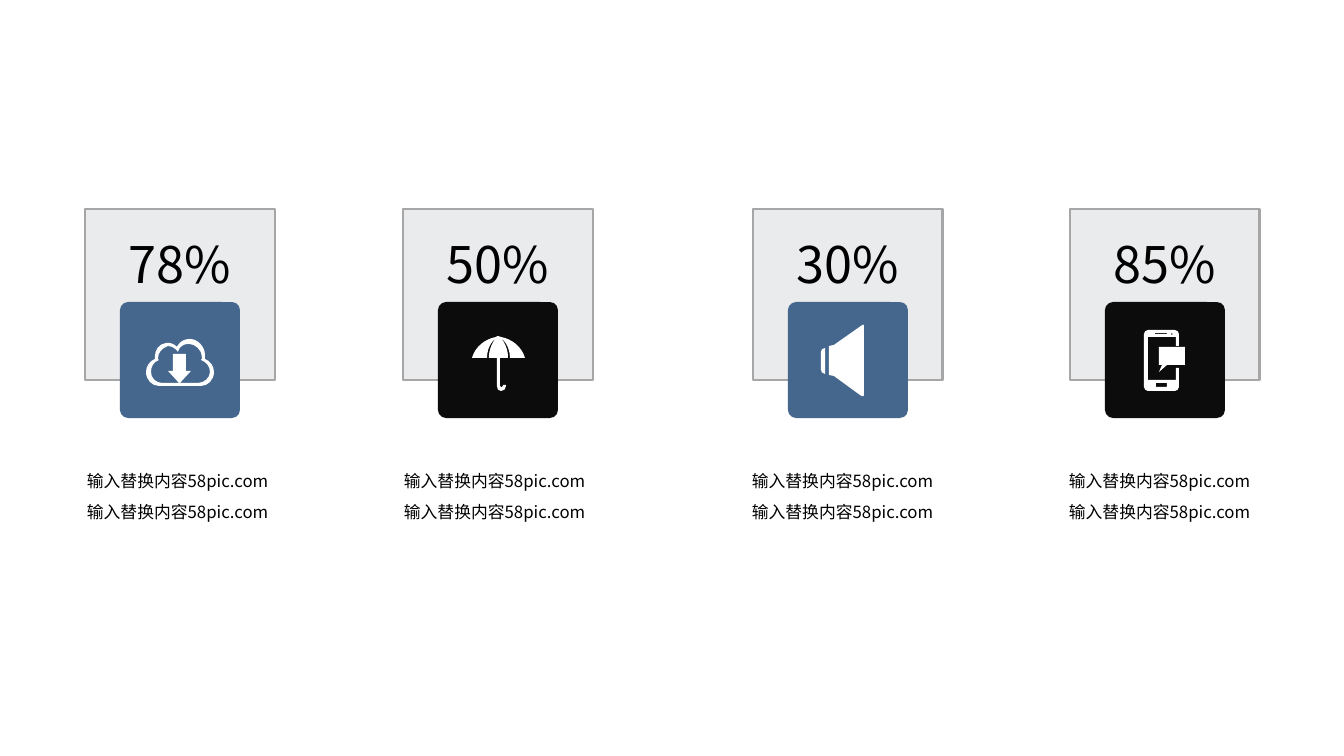
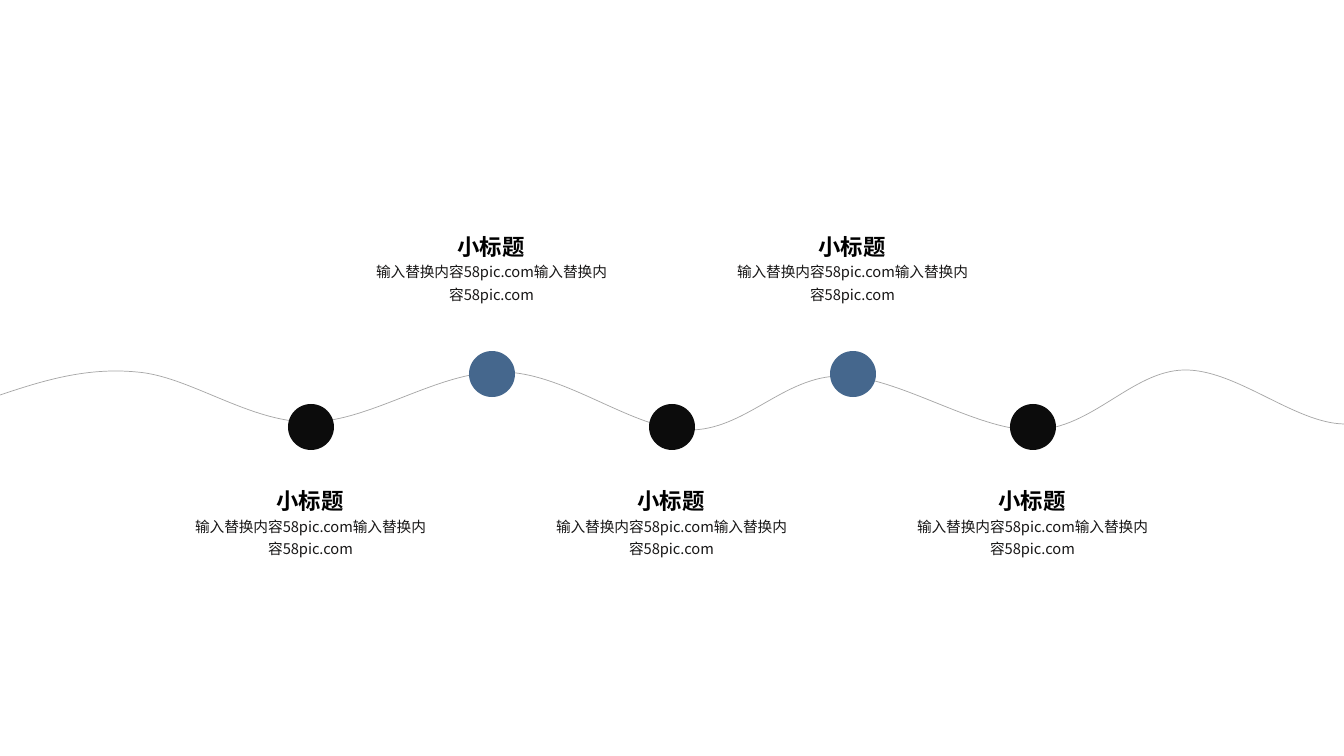
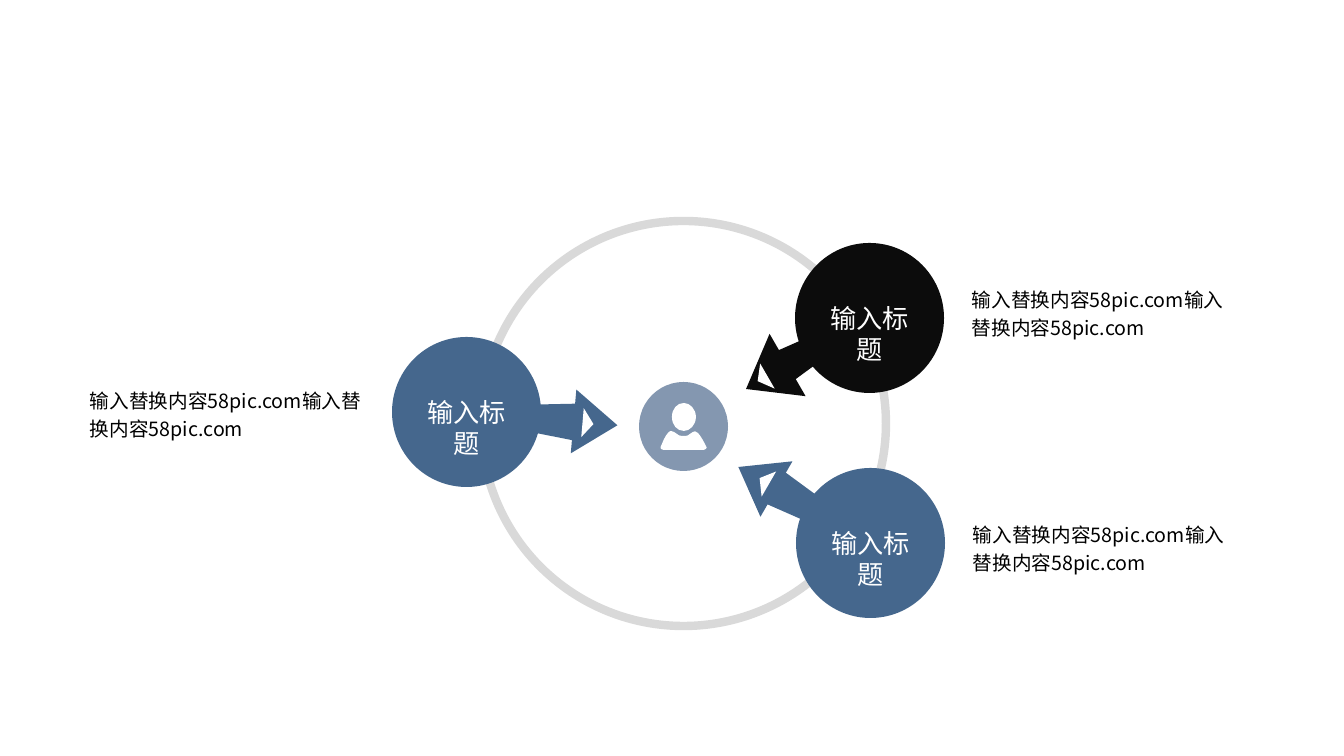
from math import cos, radians, sin

from lxml import etree
from pptx import Presentation
from pptx.dml.color import RGBColor
from pptx.enum.shapes import MSO_SHAPE
from pptx.enum.text import MSO_ANCHOR, PP_ALIGN
from pptx.oxml.ns import qn
from pptx.util import Emu, Pt

RECTANGLE, ROUNDED, OVAL = MSO_SHAPE.RECTANGLE, MSO_SHAPE.ROUNDED_RECTANGLE, MSO_SHAPE.OVAL
LEFT, CENTER = PP_ALIGN.LEFT, PP_ALIGN.CENTER
TOP, MIDDLE = MSO_ANCHOR.TOP, MSO_ANCHOR.MIDDLE

SLIDE_WIDTH, SLIDE_HEIGHT = 1344, 756
EMU_PER_PX = 914400 / 100.8

BLUE, INK, WHITE, BLACK = "45678D", "0C0C0C", "FFFFFF", "000000"
SLATE, PALE, GREY, RING_GREY, BODY_INK = "8497B0", "BABDC4", "A6A6A6", "D9D9D9", "181717"
BODY_FONT, TITLE_FONT = "Noto Sans CJK SC", "Arial"
FILLER = "输入替换内容58pic.com输入替换内容58pic.com"

# An outline is a start point, then (x, y) lines and (x1, y1, x2, y2, x, y) curves.
# A part is a list of outlines; an icon is a list of parts.
CLOUD = [[
    [(85, 57), (85, 56, 85, 55, 85, 53), (85, 45, 78, 37, 70, 37), (60, 37, 57, 45, 57, 45),
     (57, 45, 53, 40, 46, 41), (39, 42, 35, 48, 35, 54), (35, 55, 35, 56, 35, 57),
     (30, 59, 26, 64, 26, 70), (26, 78, 32, 84, 39, 84), (81, 84),
     (88, 84, 94, 78, 94, 70), (94, 64, 90, 59, 85, 57)],
    [(78, 81), (60, 81), (71, 69), (66, 69), (66, 52), (53, 52), (53, 69), (48, 69),
     (59, 81), (42, 81), (36, 81, 31, 76, 31, 70), (31, 64, 34, 60, 39, 58),
     (38, 58, 38, 57, 38, 56), (38, 51, 42, 46, 48, 44), (54, 44, 58, 50, 58, 50),
     (58, 50, 59, 42, 69, 42), (75, 42, 82, 48, 82, 55), (82, 56, 82, 58, 81, 58),
     (86, 60, 90, 64, 90, 70), (90, 76, 84, 81, 78, 81)],
]]
UMBRELLA = [[
    [(72, 56), (87, 56), (84, 45, 74, 37, 63, 35), (62, 35, 62, 34, 60, 34),
     (59, 34, 58, 35, 58, 35), (47, 37, 37, 45, 34, 56), (49, 56),
     (49, 43, 57, 37, 58, 36), (50, 46, 51, 56, 51, 56), (59, 56), (59, 84),
     (59, 87, 60, 89, 63, 89), (66, 89, 68, 87, 68, 84), (68, 83), (65, 83), (65, 84),
     (65, 86, 62, 86, 62, 84), (62, 56), (70, 56), (70, 56, 71, 46, 63, 36),
     (64, 37, 72, 43, 72, 56)],
]]
SPEAKER = [
    [[(73, 24), (46, 43), (41, 44), (41, 73), (46, 74), (72, 93), (72, 93, 76, 96, 76, 93),
      (76, 24), (76, 21, 73, 24, 73, 24)]],
    [[(33, 50), (33, 68), (33, 70, 34, 71, 37, 72), (37, 46), (34, 46, 33, 48, 33, 50)]],
]
PHONE = [
    [[(71, 78), (43, 78), (43, 35), (71, 35), (71, 44), (74, 44), (74, 32),
      (74, 30, 72, 28, 70, 28), (43, 28), (41, 28, 39, 30, 39, 32), (39, 85),
      (39, 87, 41, 89, 43, 89), (70, 89), (72, 89, 74, 87, 74, 85), (74, 66), (71, 66)],
     [(67, 31), (67, 31, 68, 31, 68, 32), (68, 32, 67, 33, 67, 33),
      (66, 33, 66, 32, 66, 32), (66, 31, 66, 31, 67, 31)],
     [(50, 31), (62, 31), (62, 32), (50, 32)],
     [(62, 85), (51, 85), (51, 81), (62, 81)]],
    [[(54, 63), (57, 63), (54, 70), (62, 63), (80, 63), (80, 45), (54, 45)]],
]
PERSON = [[
    [(32, 49), (33, 49, 34, 49, 35, 50), (36, 50, 37, 52, 38, 52), (39, 53, 40, 54, 45, 54),
     (49, 54, 50, 53, 51, 52), (52, 52, 53, 50, 54, 50), (55, 49, 57, 49, 59, 51),
     (62, 54, 66, 62, 66, 62), (67, 64), (68, 65, 68, 66, 67, 67), (66, 68, 64, 68, 64, 68),
     (26, 68), (26, 68, 23, 68, 22, 67), (21, 66, 22, 65, 22, 64), (23, 62),
     (23, 62, 26, 54, 29, 51), (30, 50, 31, 49, 32, 49)],
    [(45, 21), (51, 21, 57, 27, 57, 35), (57, 43, 51, 49, 45, 49),
     (38, 49, 33, 43, 33, 35), (33, 27, 38, 21, 45, 21)],
]]
WAVE = [
    [(0, 395), (42, 381, 86, 367, 137, 372), (189, 376, 249, 422, 309, 422),
     (371, 422, 439, 370, 503, 372), (566, 373, 632, 429, 688, 430),
     (745, 431, 783, 376, 841, 376), (898, 376, 977, 431, 1034, 430),
     (1092, 429, 1132, 371, 1184, 370), (1236, 369, 1294, 423, 1344, 424)],
]


def px(length):
    return Emu(round(length * EMU_PER_PX))


def rgb(color):
    return RGBColor.from_string(color)


def paint(shape, fill=None, line=None, line_width=1, alpha=None):
    shape.shadow.inherit = False
    if fill:
        shape.fill.solid()
        shape.fill.fore_color.rgb = rgb(fill)
        if alpha:
            color = shape.fill._xPr.find(qn("a:solidFill"))[0]
            etree.SubElement(color, qn("a:alpha"), val=str(alpha * 1000))
    else:
        shape.fill.background()
    if line:
        shape.line.color.rgb = rgb(line)
        shape.line.width = Pt(line_width)
    else:
        shape.line.fill.background()
    return shape


def add_box(slide, kind, box, **look):
    return paint(slide.shapes.add_shape(kind, *map(px, box)), **look)


def write(shape, text, size, color=BLACK, font=BODY_FONT, bold=False,
          align=LEFT, anchor=TOP, spacing=None, wrap=True):
    frame = shape.text_frame
    frame.word_wrap = wrap
    frame.vertical_anchor = anchor
    frame.text = text
    paragraph = frame.paragraphs[0]
    paragraph.alignment = align
    if spacing:
        paragraph.line_spacing = spacing
    paragraph.font.size = Pt(size)
    paragraph.font.bold = bold
    paragraph.font.color.rgb = rgb(color)
    paragraph.font.name = font
    defaults = paragraph._p.pPr.find(qn("a:defRPr"))
    etree.SubElement(defaults, qn("a:ea"), typeface=BODY_FONT)


def add_text(slide, box, text, size, **style):
    write(slide.shapes.add_textbox(*map(px, box)), text, size, **style)


def bend(shape, outlines):
    """Join the three straight steps laid for each curve into one Bézier segment."""
    steps = shape._element.iter(qn("a:lnTo"))
    segments = [segment for outline in outlines for segment in outline[1:]]
    # Take all steps first, since joining them changes the tree.
    steps = iter(list(steps))
    for segment in segments:
        first = next(steps)
        if len(segment) == 6:
            first.tag = qn("a:cubicBezTo")
            for step in (next(steps), next(steps)):
                first.append(step[0])
                step.getparent().remove(step)


def add_outlines(slide, outlines, left=0, top=0, closed=True, **look):
    builder = None
    for outline in outlines:
        points = [(px(left + segment[i]), px(top + segment[i + 1]))
                  for segment in outline for i in range(0, len(segment), 2)]
        if builder is None:
            builder = slide.shapes.build_freeform(*points[0], scale=1.0)
        else:
            builder.move_to(*points[0])
        builder.add_line_segments(points[1:], close=closed)
    shape = builder.convert_to_shape()
    # A closed outline ends where it starts, so no extra step is laid for closing.
    bend(shape, outlines)
    paint(shape, **look)


def add_icon(slide, icon, left, top):
    for part in icon:
        add_outlines(slide, part, left, top, fill=WHITE)


def add_percent_card(slide, left, top, text_left, percent, color, icon):
    card = add_box(slide, RECTANGLE, (left, top, 190, 171),
                   fill=PALE, alpha=30, line=GREY, line_width=2)
    write(card, percent, 36, align=CENTER)
    card.text_frame.margin_top = px(24)
    badge_left, badge_top = left + 35, top + 93
    badge = add_box(slide, ROUNDED, (badge_left, badge_top, 120, 116), fill=color)
    badge.adjustments[0] = 0.07
    add_icon(slide, icon, badge_left, badge_top)
    add_text(slide, (text_left, top + 247, 208, 68), FILLER, 12, spacing=1.5)


def build_percent_slide(slide):
    cards = [(85, 77, "78%", BLUE, CLOUD), (403, 394, "50%", INK, UMBRELLA),
             (753, 742, "30%", BLUE, SPEAKER), (1070, 1059, "85%", INK, PHONE)]
    for left, text_left, percent, color, icon in cards:
        add_percent_card(slide, left, 209, text_left, percent, color, icon)


def add_milestone(slide, center, dot_top, text_top, color):
    add_box(slide, OVAL, (center - 23, dot_top, 46, 46), fill=color)
    add_text(slide, (center - 131, text_top + 31, 261, 53), FILLER, 10.5,
             color=BODY_INK, align=CENTER, spacing=1.25)
    add_text(slide, (center - 114, text_top, 226, 40), "小标题", 16,
             font=TITLE_FONT, bold=True, align=CENTER, spacing=1.2)


def build_wave_slide(slide):
    add_outlines(slide, WAVE, closed=False, line=GREY, line_width=0.5)
    for index, center in enumerate((311, 492, 672, 853, 1033)):
        dot_top, text_top, color = (351, 223, BLUE) if index % 2 else (404, 477, INK)
        add_milestone(slide, center, dot_top, text_top, color)


def add_spoke(slide, center, angle, color, head, text_box):
    """Place a titled disc whose arrow points down, turned clockwise by angle."""
    center_x, center_y = center
    turn_cos, turn_sin = cos(radians(angle)), sin(radians(angle))
    half, base, tip = head
    parts = [
        ([(11, 46), (-12, 46), (-19, 110), (18, 110)], color),
        ([(0, tip), (-half, base), (half, base)], color),
        ([(-1, 128), (-15, 117), (14, 117)], WHITE),
    ]
    for points, fill in parts:
        turned = [(x * turn_cos - y * turn_sin, x * turn_sin + y * turn_cos) for x, y in points]
        add_outlines(slide, [turned], center_x, center_y, fill=fill)
    add_box(slide, OVAL, (center_x - 74, center_y - 75, 149, 150), fill=color)
    add_text(slide, text_box, FILLER, 14, anchor=MIDDLE, spacing=1.2)
    add_text(slide, (center_x - 53, center_y - 21, 107, 42), "输入标题", 18.7,
             color=WHITE, align=CENTER, wrap=False)


def add_person(slide, left, top):
    add_box(slide, OVAL, (left, top, 89, 89), fill=SLATE)
    add_icon(slide, PERSON, left, top)


def build_hub_slide(slide):
    add_box(slide, OVAL, (481, 221, 405, 405), line=RING_GREY, line_width=6)
    wide_head, narrow_head = (36, 94, 142), (32, 108, 152)
    add_spoke(slide, (869, 318), 60, INK, wide_head, (962, 268, 275, 86))
    add_spoke(slide, (870, 543), 120, BLUE, narrow_head, (963, 503, 275, 86))
    add_spoke(slide, (466, 412), 275, BLUE, narrow_head, (80, 364, 301, 96))
    add_person(slide, 639, 382)


def main():
    presentation = Presentation()
    presentation.slide_width = px(SLIDE_WIDTH)
    presentation.slide_height = px(SLIDE_HEIGHT)
    blank = presentation.slide_layouts[6]
    for build in (build_percent_slide, build_wave_slide, build_hub_slide):
        build(presentation.slides.add_slide(blank))
    presentation.save("out.pptx")


if __name__ == "__main__":
    main()
